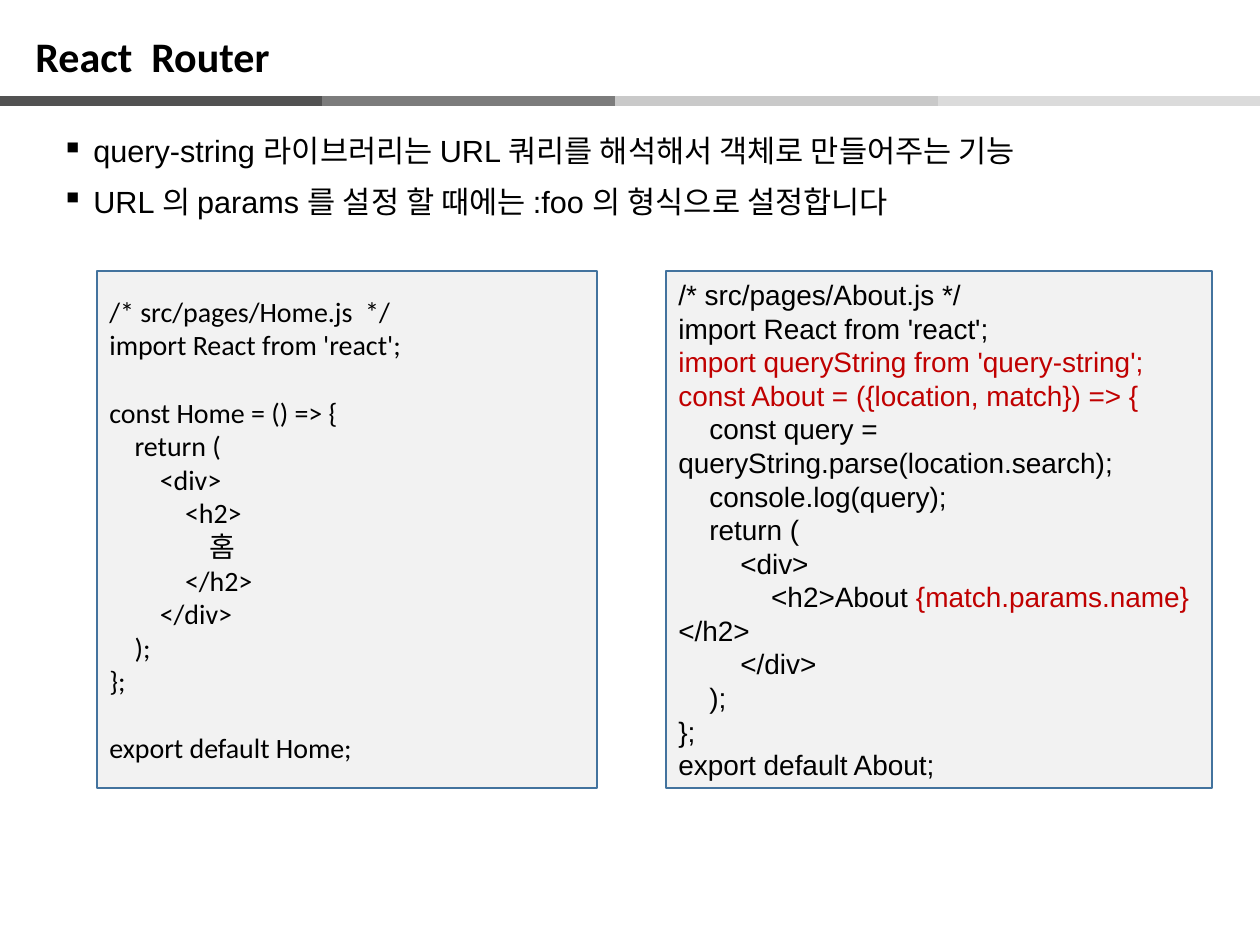
from dataclasses import dataclass

from lxml.etree import SubElement
from pptx import Presentation
from pptx.dml.color import RGBColor as RGB
from pptx.enum.shapes import MSO_CONNECTOR as CONN, MSO_SHAPE as SHAPE
from pptx.enum.text import MSO_ANCHOR as ANCHOR, MSO_AUTO_SIZE as FIT, PP_ALIGN as ALIGN
from pptx.oxml.ns import qn
from pptx.util import Emu, Pt

EMU_PER_PX = 914400 / 126


def px(n):
    return Emu(round(n * EMU_PER_PX))


@dataclass(frozen=True)
class Theme:
    text: str = "000000"
    accent: str = "C00000"
    panel: str = "F2F2F2"
    border: str = "43739E"
    bars: tuple = ("525252", "7C7C7C", "C9C9C9", "DBDBDB")
    heading_font: str = "Calibri"
    body_font: str = "Arial"
    title_size: float = 24
    body_size: float = 17.5
    code_size: float = 16
    bar_width: float = 6
    border_width: float = 1


class SlideBuilder:
    def __init__(self, slide, theme):
        self.s = slide
        self.theme = theme

    def run(self, p, text, size, font, color=None, bold=False):
        r = p.add_run()
        r.text = text
        r.font.color.rgb = RGB.from_string(color or self.theme.text)
        for key, value in {"size": Pt(size), "name": font, "bold": bold}.items():
            setattr(r.font, key, value)

    def textbox(self, box, auto_size=FIT.NONE):
        tf = self.s.shapes.add_textbox(*map(px, box)).text_frame
        for key, value in {"word_wrap": True, "auto_size": auto_size}.items():
            setattr(tf, key, value)
        return tf

    def title(self, text, box):
        t = self.theme
        tf = self.textbox(box, FIT.SHAPE_TO_FIT_TEXT)
        self.run(tf.paragraphs[0], text, t.title_size, t.heading_font, bold=True)

    def bar(self, x1, x2, y, color):
        line = self.s.shapes.add_connector(CONN.STRAIGHT, px(x1), px(y), px(x2), px(y))
        line.line.color.rgb = RGB.from_string(color)
        line.line.width = Pt(self.theme.bar_width)
        SubElement(line._element.spPr, qn("a:effectLst"))

    def bullets(self, items, box, indent):
        t = self.theme
        tf = self.textbox(box)
        for i, item in enumerate(items):
            p = tf.add_paragraph() if i else tf.paragraphs[0]
            pPr = p._p.get_or_add_pPr()
            pPr.set("marL", str(px(indent)))
            pPr.set("indent", str(-px(indent)))
            SubElement(pPr, qn("a:buChar"), char="▪")
            p.line_spacing = 0.9
            p.space_before = Pt(10 if i else 0)
            self.run(p, item, t.body_size, t.body_font)

    def code(self, source, box, font, highlights=()):
        t = self.theme
        sp = self.s.shapes.add_shape(SHAPE.RECTANGLE, *map(px, box))
        sp.shadow.inherit = False
        sp.fill.solid()
        sp.fill.fore_color.rgb = RGB.from_string(t.panel)
        sp.line.color.rgb = RGB.from_string(t.border)
        sp.line.width = Pt(t.border_width)
        tf = sp.text_frame
        for key, value in {"word_wrap": True, "vertical_anchor": ANCHOR.MIDDLE}.items():
            setattr(tf, key, value)
        for i, line in enumerate(source.strip().splitlines()):
            p = tf.add_paragraph() if i else tf.paragraphs[0]
            p.alignment = ALIGN.LEFT
            if not line:
                SubElement(p._p, qn("a:endParaRPr"), sz=str(t.code_size * 100))
                continue
            mark = next((h for h in highlights if h in line), None)
            parts = line.partition(mark) if mark else (line,)
            for part in filter(None, parts):
                self.run(p, part, t.code_size, font, t.accent if part == mark else t.text)


HOME_CODE = """
/* src/pages/Home.js  */
import React from 'react';

const Home = () => {
    return (
        <div>
            <h2>
                홈
            </h2>
        </div>
    );
};

export default Home;
"""

ABOUT_CODE = """
/* src/pages/About.js */
import React from 'react';
import queryString from 'query-string';
const About = ({location, match}) => {
    const query = queryString.parse(location.search);
    console.log(query);
    return (
        <div>
            <h2>About {match.params.name}</h2>
        </div>
    );
};
export default About;
"""

ABOUT_HIGHLIGHTS = (
    "import queryString from 'query-string';",
    "const About = ({location, match}) => {",
    "{match.params.name}",
)

BULLETS = (
    "query-string 라이브러리는 URL 쿼리를 해석해서 객체로 만들어주는 기능",
    "URL 의 params 를 설정 할 때에는 :foo 의 형식으로 설정합니다",
)


def main():
    prs = Presentation()
    prs.slide_width, prs.slide_height = px(1260), px(945)
    theme = Theme()
    b = SlideBuilder(prs.slides.add_slide(prs.slide_layouts[6]), theme)

    # Divider in four greys
    edges = (0, 322, 615, 938, 1260)
    for x1, x2, color in zip(edges, edges[1:], theme.bars):
        b.bar(x1, x2, 101, color)

    # Bullet points
    b.bullets(BULLETS, (49, 130, 1186, 123), indent=32)

    # Code panels
    top, height = 271, 517
    b.code(HOME_CODE, (97, top, 500, height), theme.heading_font)
    b.code(ABOUT_CODE, (666, top, 546, height), theme.body_font, ABOUT_HIGHLIGHTS)

    # Title
    b.title("React  Router", (23, 24, 999, 63))

    prs.save("out.pptx")


if __name__ == "__main__":
    main()
